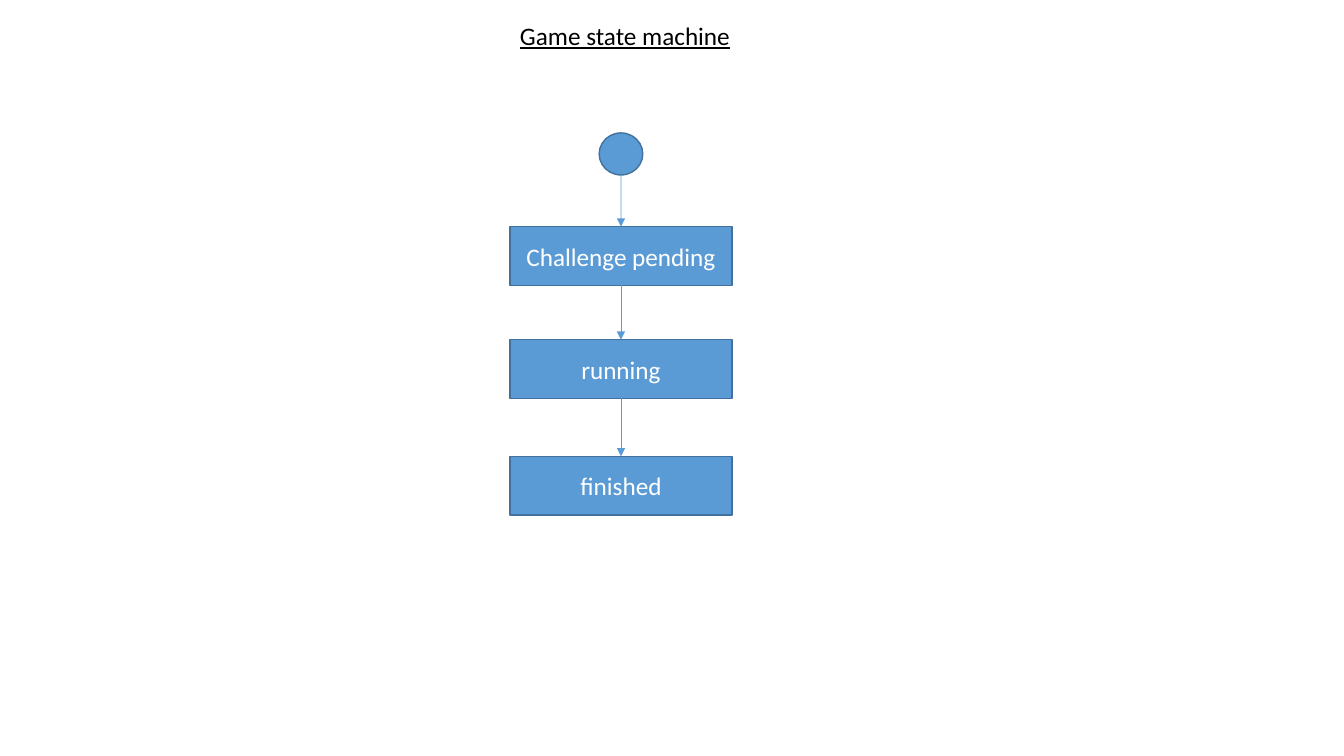
"""Build the game state machine slide."""
from dataclasses import dataclass

from lxml import etree
from pptx import Presentation
from pptx.dml.color import RGBColor
from pptx.enum.shapes import MSO_CONNECTOR, MSO_SHAPE
from pptx.enum.text import MSO_ANCHOR, MSO_AUTO_SIZE, PP_ALIGN
from pptx.oxml.ns import qn
from pptx.util import Cm, Pt

TITLE = "Game state machine"
STATES = [("Challenge pending", 5.71), ("running", 8.56), ("finished", 11.5)]

SLIDE_WIDTH, SLIDE_HEIGHT = 33.87, 19.05
TITLE_ONLY_LAYOUT = 5
CENTER_X = 15.65
STATE_WIDTH, STATE_HEIGHT = 5.6, 1.48
START_TOP, START_WIDTH, START_HEIGHT = 3.35, 1.1, 1.06
TITLE_TOP, TITLE_WIDTH, TITLE_HEIGHT = 0.38, 5.87, 1.02
TOP_SIDE, BOTTOM_SIDE = 0, 2

STRAIGHT = MSO_CONNECTOR.STRAIGHT
OVAL, RECTANGLE = MSO_SHAPE.OVAL, MSO_SHAPE.RECTANGLE
LEFT, CENTER = PP_ALIGN.LEFT, PP_ALIGN.CENTER
TOP, MIDDLE = MSO_ANCHOR.TOP, MSO_ANCHOR.MIDDLE
NO_AUTO_SIZE = MSO_AUTO_SIZE.NONE


@dataclass(frozen=True)
class Theme:
    """Colours, font and sizes of the slide."""
    fill: RGBColor = RGBColor(0x5B, 0x9B, 0xD5)
    outline: RGBColor = RGBColor(0x41, 0x71, 0x9C)
    title: RGBColor = RGBColor(0, 0, 0)
    label: RGBColor = RGBColor(0xFF, 0xFF, 0xFF)
    font: str = "Calibri"
    text_size: Pt = Pt(18)
    outline_width: Pt = Pt(1)
    arrow_width: Pt = Pt(0.5)


THEME = Theme()


def write_text(shape, text, color, align=CENTER, anchor=MIDDLE, underline=False, wrap=True):
    """Write one formatted paragraph into a shape."""
    frame = shape.text_frame
    frame.auto_size = NO_AUTO_SIZE
    frame.word_wrap = wrap
    frame.vertical_anchor = anchor
    paragraph = frame.paragraphs[0]
    paragraph.alignment = align
    run = paragraph.add_run()
    run.text = text
    run.font.name = THEME.font
    run.font.size = THEME.text_size
    run.font.color.rgb = color
    run.font.underline = underline


def add_node(slide, kind, top, width, height):
    """Add a filled shape centred on the flow axis."""
    shape = slide.shapes.add_shape(
        kind, Cm(CENTER_X - width / 2), Cm(top), Cm(width), Cm(height))
    shape.shadow.inherit = False
    shape.fill.solid()
    shape.fill.fore_color.rgb = THEME.fill
    shape.line.color.rgb = THEME.outline
    shape.line.width = THEME.outline_width
    return shape


def add_arrow(slide, source, target):
    """Join two nodes by a downward arrow."""
    arrow = slide.shapes.add_connector(
        STRAIGHT, Cm(CENTER_X), source.top + source.height, Cm(CENTER_X), target.top)
    if source.auto_shape_type == RECTANGLE:
        arrow.begin_connect(source, BOTTOM_SIDE)
    arrow.end_connect(target, TOP_SIDE)
    arrow.line.color.rgb = THEME.fill
    arrow.line.width = THEME.arrow_width
    properties = arrow.line._get_or_add_ln()
    etree.SubElement(properties, qn("a:tailEnd"), type="triangle")
    etree.SubElement(properties.getparent(), qn("a:effectLst"))


def main():
    """Assemble and save the slide."""
    presentation = Presentation()
    presentation.slide_width, presentation.slide_height = Cm(SLIDE_WIDTH), Cm(SLIDE_HEIGHT)
    slide = presentation.slides.add_slide(presentation.slide_layouts[TITLE_ONLY_LAYOUT])

    title = slide.shapes.title
    title.left, title.top = Cm(CENTER_X - STATE_WIDTH / 2), Cm(TITLE_TOP)
    title.width, title.height = Cm(TITLE_WIDTH), Cm(TITLE_HEIGHT)
    write_text(title, TITLE, THEME.title, align=LEFT, anchor=TOP, underline=True, wrap=False)

    previous = add_node(slide, OVAL, START_TOP, START_WIDTH, START_HEIGHT)
    for name, top in STATES:
        state = add_node(slide, RECTANGLE, top, STATE_WIDTH, STATE_HEIGHT)
        write_text(state, name, THEME.label)
        add_arrow(slide, previous, state)
        previous = state

    presentation.save("out.pptx")


if __name__ == "__main__":
    main()
